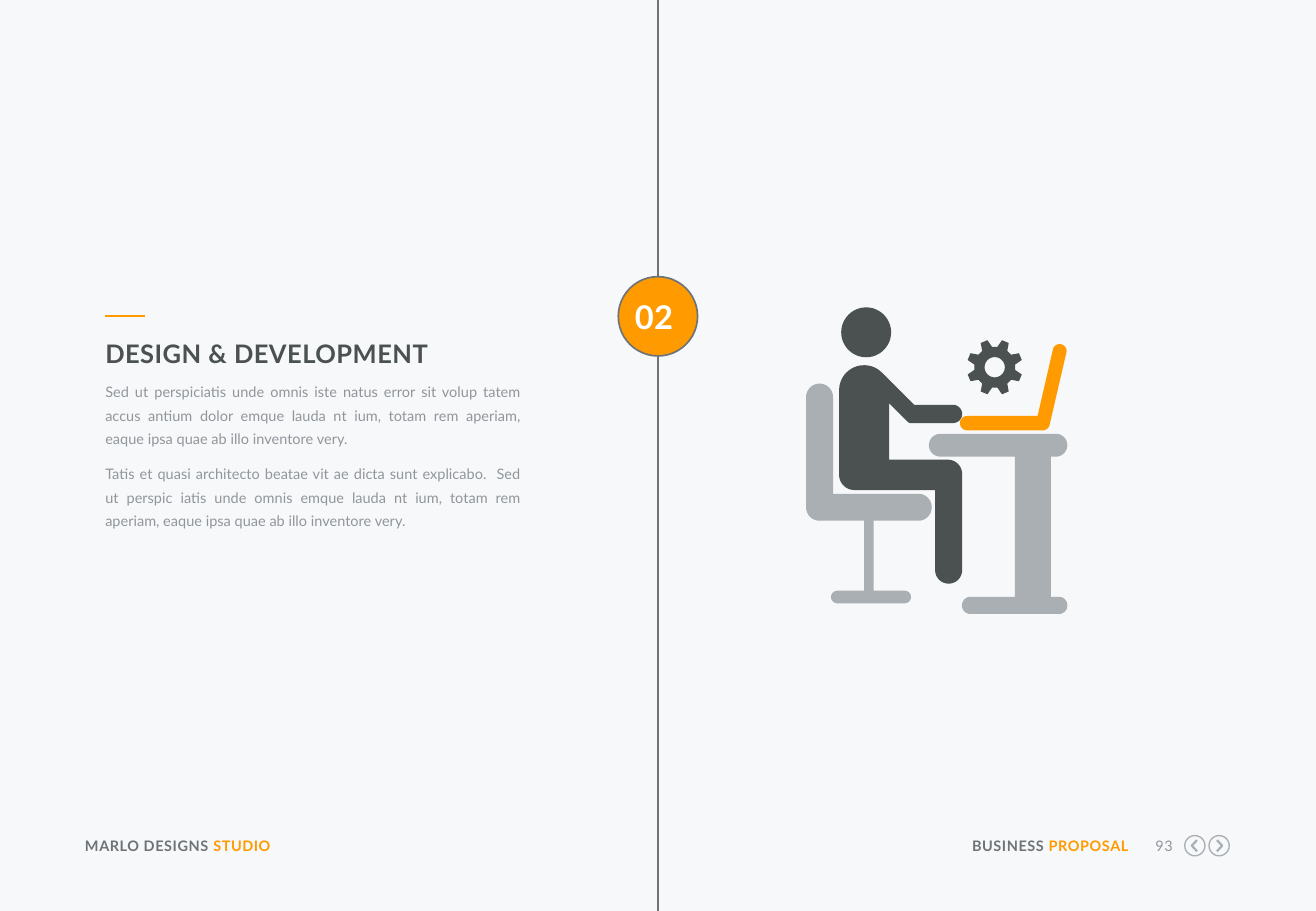
"""Build the Design & Development section slide with a desk worker icon."""
from math import cos, dist, pi, radians, sin, tan, acos
from lxml.etree import SubElement
from pptx import Presentation
from pptx.dml.color import RGBColor
from pptx.enum.shapes import MSO_CONNECTOR, MSO_SHAPE
from pptx.enum.text import PP_ALIGN
from pptx.oxml.ns import qn
from pptx.util import Pt

COLORS = {
    "background": "F6F8FA", "slate": "6E7378", "text": "91969B",
    "orange": "FF9B00", "gray": "AAAFB4", "dark": "4B5050", "white": "FFFFFF",
}
RGB = {name: RGBColor.from_string(value) for name, value in COLORS.items()}


def style(sp, fill=None, line=None, width=1):
    sp.shadow.inherit = False
    if fill:
        sp.fill.solid()
        sp.fill.fore_color.rgb = RGB[fill]
    else:
        sp.fill.background()
    if line:
        sp.line.color.rgb = RGB[line]
        sp.line.width = Pt(width)
    else:
        sp.line.fill.background()


def outline(shapes, contours, close=True):
    contours = [[(Pt(x), Pt(y)) for x, y in points] for points in contours]
    builder = shapes.build_freeform(*contours[0][0])
    for i, points in enumerate(contours):
        if i:
            builder.move_to(*points[0])
        builder.add_line_segments(points[1:], close=close)
    return builder.convert_to_shape()


prs = Presentation()
prs.slide_width, prs.slide_height = Pt(780), Pt(540)
s = prs.slides.add_slide(prs.slide_layouts[6])
s.background.fill.solid()
s.background.fill.fore_color.rgb = RGB["background"]

for x1, y1, x2, y2, color, width in [
    (390, 0, 390, 164, "slate", 1),
    (390, 211, 390, 540, "slate", 1),
    (62.4, 187.2, 86, 187.2, "orange", 1.5),
]:
    line = s.shapes.add_connector(MSO_CONNECTOR.STRAIGHT, Pt(x1), Pt(y1), Pt(x2), Pt(y2))
    line.line.color.rgb = RGB[color]
    line.line.width = Pt(width)
    SubElement(line._element.spPr, qn("a:effectLst"))

badge = s.shapes.add_shape(MSO_SHAPE.OVAL, Pt(366.5), Pt(164), Pt(47), Pt(47))
style(badge, "orange", "slate")

for center, direction in [(708.2, -1), (722.6, 1)]:
    ring = s.shapes.add_shape(MSO_SHAPE.OVAL, Pt(center - 6), Pt(495.3), Pt(12), Pt(12))
    style(ring, line="gray", width=0.8)
    tip, tail = center + 1.8 * direction, center - 1.3 * direction
    chevron = outline(s.shapes, [[(tail, 498), (tip, 501.3), (tail, 504.6)]], close=False)
    style(chevron, line="gray", width=1.3)

icon = s.shapes.add_group_shape().shapes

desk = [(550.6, 257.2, 6.7), (632.6, 257.2, 6.7), (632.6, 270.7, 6.7), (622.8, 270.7, 0),
        (622.8, 353.8, 0), (632.6, 353.8, 5), (632.6, 364, 5), (570.2, 364, 5),
        (570.2, 353.8, 5), (601.5, 353.8, 0), (601.5, 270.7, 0), (550.6, 270.7, 6.7)]
laptop = [(625, 203.2, 4), (633, 205, 4), (621.4, 255.1, 4.2), (569, 255.1, 4.2),
          (569, 246.6, 4.2), (615, 246.6, 0)]
body = [(497.4, 216.5, 14.8), (518.34, 216.5, 14.8), (541.84, 240, 0), (570.3, 240, 5.4),
        (570.3, 250.8, 5.4), (538.8, 250.8, 2.5), (527, 239, 0), (527, 272.5, 0),
        (570.3, 272.5, 8.5), (570.3, 346, 8), (554.3, 346, 8), (554.3, 290.5, 0),
        (497.4, 290.5, 9)]
chair = [(477.8, 227.4, 8), (493.8, 227.4, 8), (493.8, 292.7, 0), (552.3, 292.7, 8),
         (552.3, 308.7, 8), (517.9, 308.7, 0), (517.9, 350.2, 0), (540, 350.2, 3.7),
         (540, 357.6, 3.7), (492.6, 357.6, 3.7), (492.6, 350.2, 3.7), (512.3, 350.2, 0),
         (512.3, 308.7, 0), (477.8, 308.7, 8)]
for corners, color in [(desk, "gray"), (laptop, "orange"), (body, "dark"), (chair, "gray")]:
    points = []
    for i, (x, y, radius) in enumerate(corners):
        if not radius:
            points.append((x, y))
            continue
        ends = []
        for nx, ny, _ in (corners[i - 1], corners[(i + 1) % len(corners)]):
            length = dist((x, y), (nx, ny))
            ends.append(((nx - x) / length, (ny - y) / length))
        (ax, ay), (bx, by) = ends
        turn = pi - acos(ax * bx + ay * by)
        reach = radius * tan(turn / 2)
        pull = reach - radius * tan(turn / 4) * 4 / 3
        for t in [step / 12 for step in range(13)]:
            a = reach * (1 - t) ** 3 + 3 * pull * t * (1 - t) ** 2
            b = reach * t ** 3 + 3 * pull * t ** 2 * (1 - t)
            points.append((x + a * ax + b * bx, y + a * ay + b * by))
    style(outline(icon, [points]), color)

head = icon.add_shape(MSO_SHAPE.OVAL, Pt(498.6), Pt(182.2), Pt(29.6), Pt(29.6))
style(head, "dark")

tooth = [(-15, 12.2), (-7.5, 16.6), (7.5, 16.6), (15, 12.2)]
gear_edge = [(45 * i + 22.5 + turn, radius) for i in range(8) for turn, radius in tooth]
gear_hole = [(-10 * i, 6) for i in range(36)]
gear = [[(589.6 + radius * cos(radians(a)), 217.7 + radius * sin(radians(a)))
         for a, radius in edge] for edge in (gear_edge, gear_hole)]
style(outline(icon, gear), "dark")

copy = [
    "Sed ut perspiciatis unde omnis iste natus error sit volup tatem accus antium dolor "
    "emque lauda nt ium, totam rem aperiam, eaque ipsa quae ab illo inventore very.",
    "Tatis et quasi architecto beatae vit ae dicta sunt explicabo.  Sed ut perspic iatis "
    "unde omnis emque lauda nt ium, totam rem aperiam, eaque ipsa quae ab illo inventore very.",
]
LEFT, RIGHT = PP_ALIGN.LEFT, PP_ALIGN.RIGHT
for box, align, size, bold, spacing, leading, paragraphs in [
    ((50.4, 496, 152, 11), LEFT, 8.6, True, 0.3, None,
     [[("MARLO DESIGNS ", "slate"), ("STUDIO", "orange")]]),
    ((570.3, 496, 98.7, 11), RIGHT, 8.6, True, 0.3, None,
     [[("BUSINESS ", "slate"), ("PROPOSAL", "orange")]]),
    ((677.2, 496, 18, 11), RIGHT, 8.6, False, 0.3, None, [[("93", "text")]]),
    ((373.7, 175.7, 28, 24), PP_ALIGN.CENTER, 19.4, True, 0.2, None, [[("02", "white")]]),
    ((62.4, 200.2, 248, 18), LEFT, 15.1, True, 0.27, 18.4,
     [[("DESIGN & DEVELOPMENT", "dark")]]),
    ((62.4, 223.2, 246.7, 92), PP_ALIGN.JUSTIFY, 8.6, False, 0, 14.05,
     [[(text, "text")] for text in copy]),
]:
    tf = s.shapes.add_textbox(*[Pt(v) for v in box]).text_frame
    tf.word_wrap = True
    tf.margin_left = tf.margin_right = tf.margin_top = tf.margin_bottom = 0
    for i, runs in enumerate(paragraphs):
        p = tf.add_paragraph() if i else tf.paragraphs[0]
        p.alignment = align
        if leading:
            p.line_spacing = Pt(leading)
            p.space_after = Pt(6.5)
        for text, color in runs:
            r = p.add_run()
            r.text = text
            r.font.name = "Lato"
            r.font.size = Pt(size)
            r.font.bold = bold
            r.font.color.rgb = RGB[color]
            r._r.get_or_add_rPr().set("spc", str(round(spacing * 100)))

prs.save("out.pptx")
